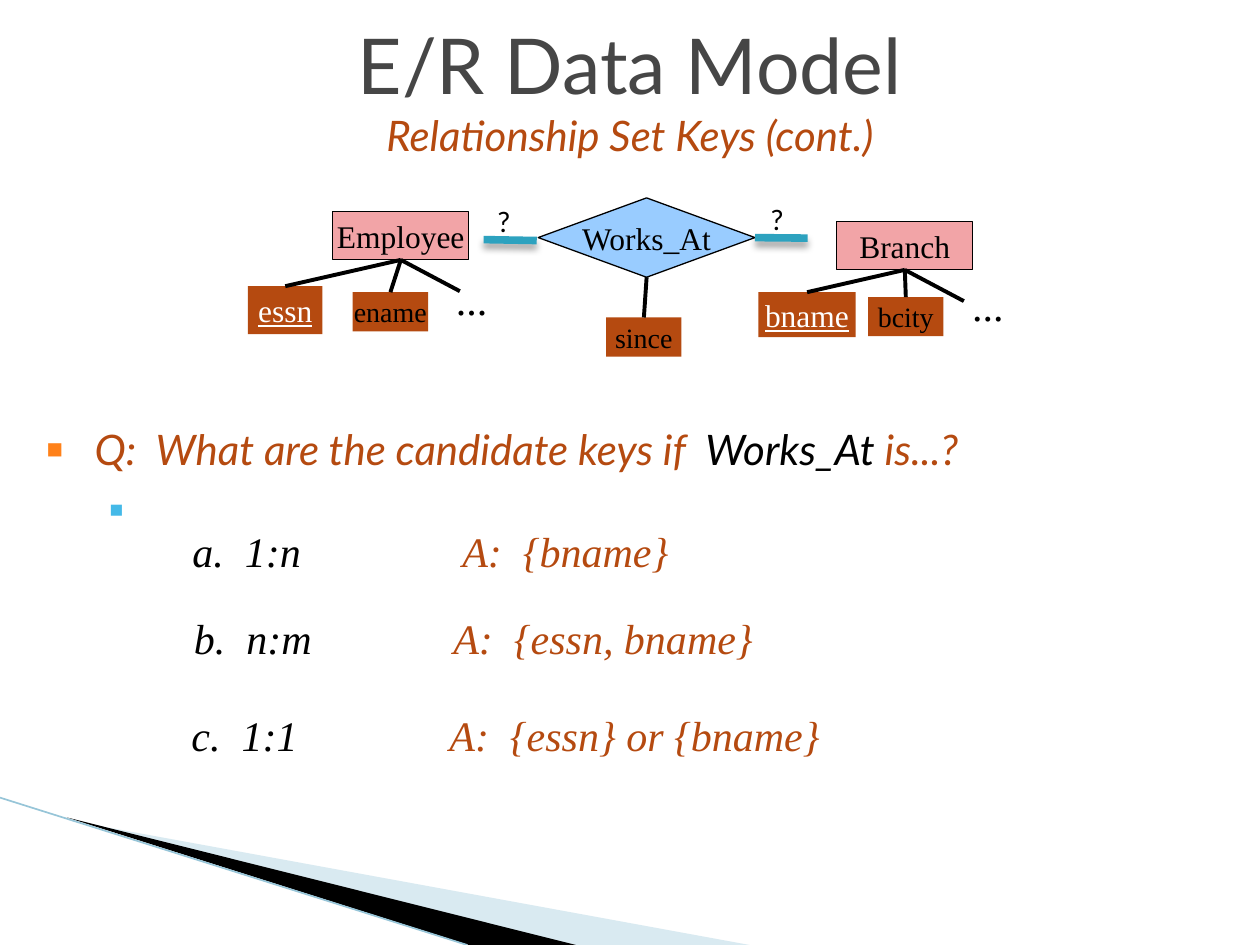
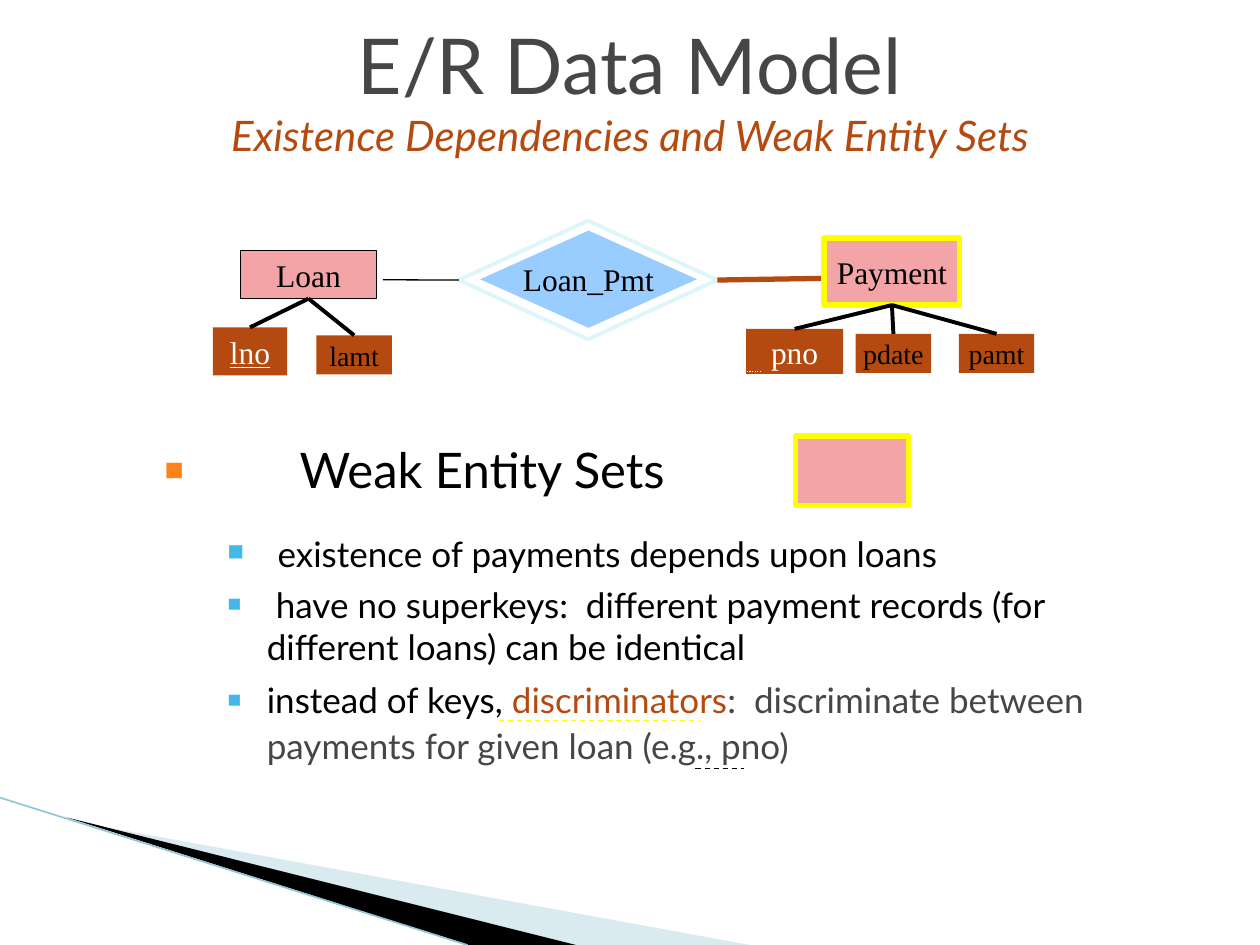
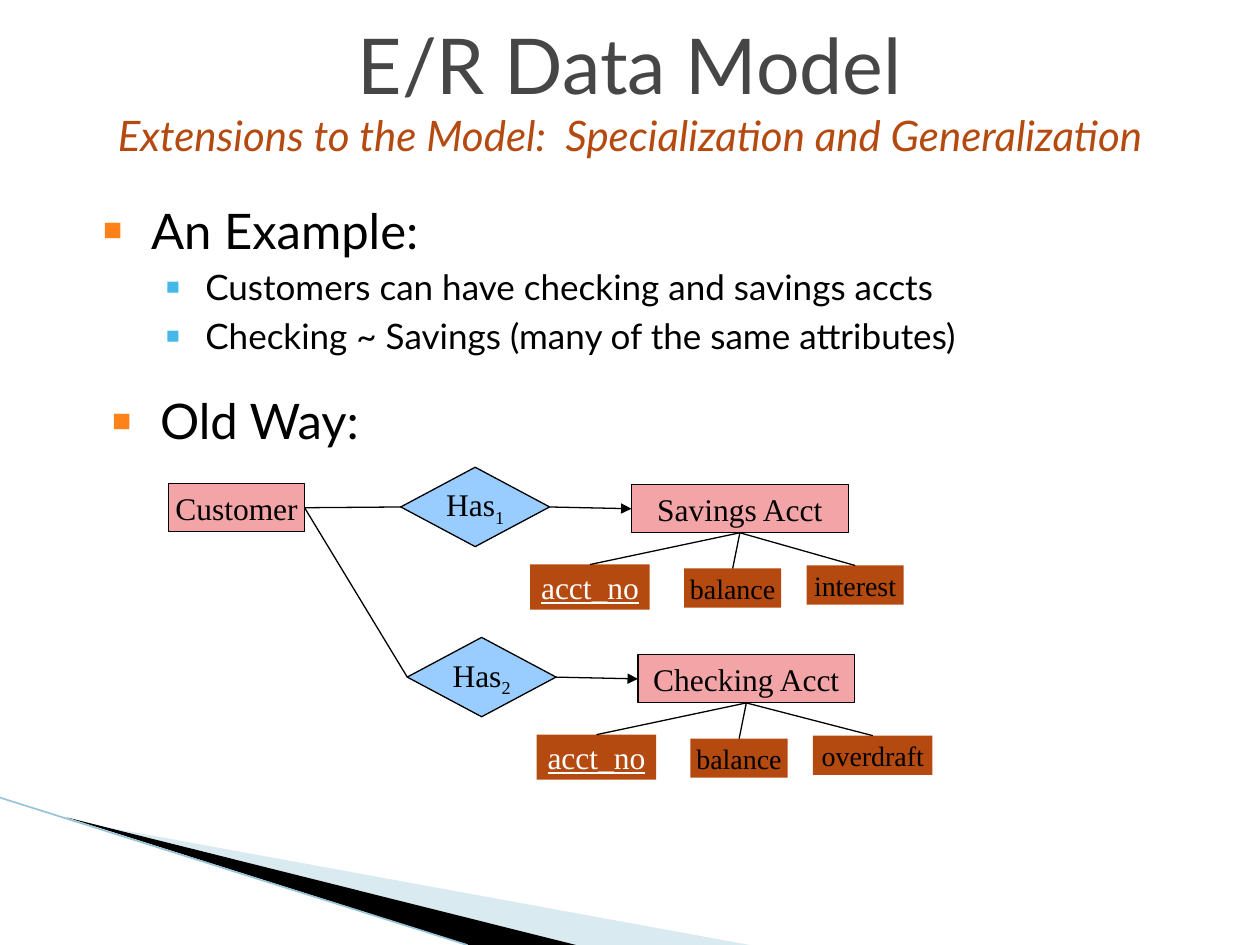
from dataclasses import dataclass
from typing import NamedTuple, Optional

from lxml import etree
from pptx import Presentation
from pptx import util as u
from pptx.dml.color import RGBColor
from pptx.enum import dml, shapes, text
from pptx.oxml import ns

BLACK = RGBColor(0x00, 0x00, 0x00)
WHITE = RGBColor(0xFF, 0xFF, 0xFF)
GREY = RGBColor(0x46, 0x46, 0x46)
RUST = RGBColor(0xB5, 0x4A, 0x10)
PINK = RGBColor(0xF2, 0xA4, 0xA7)
BLUE = RGBColor(0x99, 0xCC, 0xFF)
TEAL = RGBColor(0x2D, 0xA2, 0xBF)
ICE = RGBColor(0xDE, 0xF5, 0xFA)
MIST = RGBColor(0xA0, 0xCB, 0xDC)
EDGE = RGBColor(0x97, 0xC5, 0xD8)
YELLOW = RGBColor(0xFF, 0xFF, 0x00)
ORANGE = RGBColor(0xFF, 0x81, 0x19)
SKY = RGBColor(0x44, 0xB9, 0xE8)

SANS, SERIF = "Lato", "Times New Roman"
RECT = shapes.MSO_SHAPE.RECTANGLE
DIAMOND = shapes.MSO_SHAPE.DIAMOND
TOP, LEFT, BOTTOM, RIGHT = range(4)
DASH = dml.MSO_LINE.DASH
DOT = dml.MSO_LINE.ROUND_DOT
CENTER = text.PP_ALIGN.CENTER


class Run(NamedTuple):
    text: str
    size: float
    color: RGBColor = BLACK
    font: str = SANS
    slant: bool = False
    under: bool = False
    base: int = 0


@dataclass
class Para:
    runs: list[Run]
    level: int = 0
    lines: float = 1.0
    left: float = 0.97    # cm, where the text starts
    hang: float = 0.97    # cm, from bullet to text
    before: float = 0


@dataclass
class Box:
    x: float
    y: float
    w: float
    h: float
    runs: list[Run]
    fill: RGBColor
    edge: Optional[RGBColor] = None
    width: float = 0.75
    form: shapes.MSO_SHAPE = RECT


class Spot(NamedTuple):
    x: float
    y: float


class Joint(NamedTuple):
    shape: object
    side: int


# Text

def add_run(para, run: Run) -> None:
    r = para.add_run()
    r.text = run.text
    font = r.font
    font.name, font.size = run.font, u.Pt(run.size)
    font.color.rgb = run.color
    font.italic, font.underline = run.slant, run.under
    if run.base:
        r._r.get_or_add_rPr().set("baseline", str(run.base * 1000))


def add_text(slide, x: float, y: float, w: float, h: float, wrap: bool = True):
    box = slide.shapes.add_textbox(u.Cm(x), u.Cm(y), u.Cm(w), u.Cm(h))
    box.text_frame.word_wrap = wrap
    return box.text_frame


def add_label(slide, x: float, y: float, w: float, h: float, run: Run) -> None:
    frame = add_text(slide, x, y, w, h, wrap=False)
    frame.auto_size = text.MSO_AUTO_SIZE.SHAPE_TO_FIT_TEXT
    add_run(frame.paragraphs[0], run)


def add_bullet(para, item: Para) -> None:
    props = para._p.get_or_add_pPr()
    props.set("marL", str(u.Cm(item.left)))
    props.set("indent", str(-u.Cm(item.hang)))
    tint = etree.SubElement(props, ns.qn("a:buClr"))
    etree.SubElement(tint, ns.qn("a:srgbClr"), val=str(SKY if item.level else ORANGE))
    etree.SubElement(props, ns.qn("a:buSzPct"), val="65000")
    etree.SubElement(props, ns.qn("a:buFont"), typeface="Arial")
    etree.SubElement(props, ns.qn("a:buChar"), char="■")


def add_list(slide, x: float, y: float, w: float, h: float, items: list[Para]) -> None:
    frame = add_text(slide, x, y, w, h)
    for n, item in enumerate(items):
        para = frame.add_paragraph() if n else frame.paragraphs[0]
        add_bullet(para, item)
        para.level = item.level
        para.line_spacing = item.lines
        para.space_before = u.Pt(item.before)
        for run in item.runs:
            add_run(para, run)


def sub(runs: list[Run], lines: float = 1.0) -> Para:
    return Para(runs, 1, lines, left=2.06, hang=0.79, before=4)


# Shapes and lines

def add_box(slide, box: Box):
    shape = slide.shapes.add_shape(box.form, u.Cm(box.x), u.Cm(box.y),
                                   u.Cm(box.w), u.Cm(box.h))
    shape.shadow.inherit = False
    shape.fill.solid()
    shape.fill.fore_color.rgb = box.fill
    if box.edge is None:
        shape.line.fill.background()
    else:
        shape.line.color.rgb = box.edge
        shape.line.width = u.Pt(box.width)
    frame = shape.text_frame
    frame.word_wrap = False
    frame.vertical_anchor = text.MSO_ANCHOR.MIDDLE
    frame.paragraphs[0].alignment = CENTER
    for run in box.runs:
        add_run(frame.paragraphs[0], run)
    return shape


def add_line(slide, start, end, color: RGBColor = BLACK, width: float = 0.75,
             dash=None, arrow: bool = False, shade: bool = False) -> None:
    line = slide.shapes.add_connector(shapes.MSO_CONNECTOR.STRAIGHT, 0, 0, 0, 0)
    if isinstance(start, Spot):
        line.begin_x, line.begin_y = u.Cm(start.x), u.Cm(start.y)
    else:
        line.begin_connect(*start)
    if isinstance(end, Spot):
        line.end_x, line.end_y = u.Cm(end.x), u.Cm(end.y)
    else:
        line.end_connect(*end)
    line.line.color.rgb = color
    line.line.width = u.Pt(width)
    if dash is not None:
        line.line.dash_style = dash
    if arrow:
        etree.SubElement(line.line._get_or_add_ln(), ns.qn("a:tailEnd"), type="triangle")
    effect = etree.SubElement(line._element.spPr, ns.qn("a:effectLst"))
    if shade:
        cast = etree.SubElement(effect, ns.qn("a:outerShdw"), blurRad=str(u.Pt(4)),
                                dist=str(u.Pt(3)), dir="5400000", rotWithShape="0")
        tint = etree.SubElement(cast, ns.qn("a:srgbClr"), val=str(BLACK))
        etree.SubElement(tint, ns.qn("a:alpha"), val="35000")


def add_wedge(slide, points: list[Spot], color: RGBColor, alpha: int = 100) -> None:
    ends = [(u.Cm(p.x), u.Cm(p.y)) for p in points]
    path = slide.shapes.build_freeform(*ends[0])
    path.add_line_segments(ends[1:], close=True)
    wedge = path.convert_to_shape()
    wedge.shadow.inherit = False
    wedge.fill.solid()
    wedge.fill.fore_color.rgb = color
    wedge.line.fill.background()
    if alpha < 100:
        tint = wedge._element.spPr.find(".//" + ns.qn("a:srgbClr"))
        etree.SubElement(tint, ns.qn("a:alpha"), val=str(alpha * 1000))


# Parts of an E/R chart

def serif(word: str, size: float = 18, color: RGBColor = BLACK, **more) -> Run:
    return Run(word, size, color, SERIF, **more)


def entity(x: float, y: float, word: str, w: float = 2.74) -> Box:
    return Box(x, y, w, 0.97, [serif(word)], PINK, BLACK)


def weak(x: float, y: float, w: float, h: float, runs: list[Run]) -> Box:
    return Box(x, y, w, h, runs, PINK, YELLOW, 3)


def link(x: float, y: float, w: float, runs: list[Run]) -> Box:
    return Box(x, y, w, 1.6, runs, BLUE, BLACK, form=DIAMOND)


def key(x: float, y: float, w: float, word: str, h: float = 0.91,
        under: bool = True) -> Box:
    return Box(x, y, w, h, [serif(word, color=WHITE, under=under)], RUST)


def field(x: float, y: float, word: str, w: float = 1.52) -> Box:
    return Box(x, y, w, 0.79, [serif(word, 16)], RUST)


def add_tree(slide, root: Box, leaves: list[Box], width: float = 2.25):
    """Draw a box and its attributes, joined from its lower side."""
    owner = add_box(slide, root)
    for leaf in leaves:
        shape = add_box(slide, leaf)
        add_line(slide, Joint(owner, BOTTOM), Joint(shape, TOP), width=width)
    return owner


def add_more(slide, owner, end: Spot, x: float, y: float) -> None:
    add_line(slide, Joint(owner, BOTTOM), end, width=2.25)
    add_label(slide, x, y, 1.14, 1.27, serif("...", 24))


def new_slide(deck, topic: str):
    slide = deck.slides.add_slide(deck.slide_layouts[6])
    # Corner wedges
    add_wedge(slide, [Spot(1.4, 16.54), Spot(15.11, 19.05), Spot(11.58, 19.05)], MIST, 40)
    add_wedge(slide, [Spot(1.35, 16.48), Spot(11.61, 19.05), Spot(9.45, 19.05)], BLACK)
    add_line(slide, Spot(0, 16.08), Spot(9.42, 19.05), EDGE, 0.95)
    # Title
    frame = add_text(slide, 0, 0.2, 25.4, 3.18)
    frame.vertical_anchor = text.MSO_ANCHOR.MIDDLE
    para = frame.paragraphs[0]
    para.alignment = CENTER
    add_run(para, Run("E/R Data Model", 44, GREY))
    para.add_line_break()
    add_run(para, Run(topic, 24, RUST, slant=True))
    return slide


def draw_keys(deck) -> None:
    slide = new_slide(deck, "Relationship Set Keys (cont.)")
    add_list(slide, 0.69, 8.41, 24.71, 1.4, [
        Para([Run("Q:  What are the candidate keys if  ", 24, RUST, slant=True),
              Run("Works_At ", 24, slant=True),
              Run("is...?", 24, RUST, slant=True)]),
        sub([Run(" ", 20)], 1.2)])

    # Cases and answers: y, then x, width and words of each
    cases = [(10.46, 3.63, 2.69, "a.  1:n", 9.07, 4.88, "A:  {bname}"),
             (12.22, 3.66, 2.9, "b.  n:m", 8.89, 6.76, "A:  {essn, bname}"),
             (14.17, 3.61, 2.64, "c.  1:1", 8.81, 7.98, "A:  {essn} or {bname}")]
    for y, x, w, case, ax, aw, answer in cases:
        add_label(slide, x, y, w, 1.27, serif(case, 24, slant=True))
        add_label(slide, ax, y, aw, 1.27, serif(answer, 24, RUST, slant=True))

    # Chart
    staff = add_tree(slide, entity(6.71, 4.27, "Employee"), [
        key(5, 5.77, 1.5, "essn", h=0.97), field(7.11, 5.89, "ename")])
    add_more(slide, staff, Spot(9.27, 5.87), 8.94, 5.38)
    works = add_tree(slide, link(10.85, 3.99, 4.37, [serif("Works_At")]),
                     [field(12.22, 6.4, "since")])
    branch = add_tree(slide, entity(16.87, 4.47, "Branch"), [
        key(15.29, 5.89, 1.96, "bname"), field(17.5, 5.99, "bcity")])
    add_more(slide, branch, Spot(19.43, 6.07), 19.35, 5.51)
    add_line(slide, Joint(works, RIGHT), Spot(16.28, 4.8), TEAL, 4.33, shade=True)
    add_line(slide, Spot(9.75, 4.83), Spot(10.82, 4.85), TEAL, 4.33, shade=True)
    for x, y in [(9.78, 3.99), (15.29, 3.96)]:
        add_label(slide, x, y, 0.79, 0.94, Run("?", 16))


def draw_weak(deck) -> None:
    slide = new_slide(deck, "Existence Dependencies and Weak Entity Sets")
    add_box(slide, weak(16.03, 8.79, 2.29, 1.4, []))
    add_list(slide, 3.07, 8.74, 19.13, 4.52, [
        Para([Run("Weak Entity Sets", 28)], left=2.72, hang=2.72),
        sub([Run(" ", 24), Run("existence of payments depends upon loans", 20)], 1.4),
        sub([Run(" have no superkeys:  different payment records "
                 "(for different loans) can be identical", 20)]),
        sub([Run("instead of keys, ", 20), Run("discriminators", 20, RUST),
             Run(":  discriminate between payments for given loan (e.g., pno)",
                 20, GREY)], 1.1)])
    add_line(slide, Spot(10.06, 14.53), Spot(14.1, 14.53), YELLOW, dash=DASH)
    add_line(slide, Spot(14.02, 15.49), Spot(14.99, 15.49), dash=DASH)

    # Chart
    add_tree(slide, entity(4.85, 5.05, "Loan"), [
        key(4.29, 6.6, 1.5, "lno", h=0.97), field(6.38, 6.76, "lamt")])
    frame = add_box(slide, Box(9.25, 4.45, 5.21, 2.39, [], WHITE, ICE, 2.25, DIAMOND))
    add_box(slide, Box(9.68, 4.65, 4.37, 1.96, [serif("Loan_Pmt")], BLUE, form=DIAMOND))
    add_line(slide, Joint(frame, LEFT), Spot(7.72, 5.64))
    add_line(slide, Spot(16.66, 5.61), Joint(frame, RIGHT), RUST, 3)
    add_tree(slide, weak(16.61, 4.8, 2.74, 1.35, [serif("Payment")]), [
        key(15.04, 6.63, 1.96, "pno", under=False),
        field(17.25, 6.73, "pdate"), field(19.33, 6.73, "pamt")])
    add_line(slide, Spot(14.12, 7.49), Spot(15.32, 7.49), WHITE, dash=DOT)


def draw_types(deck) -> None:
    slide = new_slide(deck, "Extensions to the Model:  Specialization and Generalization")
    add_list(slide, 1.83, 3.91, 19.13, 4.52, [
        Para([Run("An Example:", 28)]),
        sub([Run("Customers can have checking and savings accts", 20)]),
        sub([Run("Checking ~ Savings (many of the same attributes)", 20)])])
    add_list(slide, 2.01, 7.75, 6.38, 1.45, [Para([Run("Old Way:", 28)])])

    # Chart: one row for each kind of account
    client = add_box(slide, entity(3.4, 9.75, "Customer"))
    rows = [("Savings Acct", "interest", 1.96), ("Checking Acct", "overdraft", 2.41)]
    for n, (name, extra, wide) in enumerate(rows):
        dx, dy = 0.13 * n, 3.43 * n
        has = add_box(slide, link(8.08 + dx, 9.42 + dy, 3,
                                  [serif("Has"), serif(str(n + 1), base=-25)]))
        acct = add_tree(slide, entity(12.73 + dx, 9.77 + dy, name, 4.37), [
            key(10.69 + dx, 11.38 + dy, 2.41, "acct_no"),
            field(13.79 + dx, 11.46 + dy, "balance", 1.96),
            field(16.26 + dx, 11.4 + dy, extra, wide)], 0.75)
        add_line(slide, Joint(client, RIGHT), Joint(has, LEFT))
        add_line(slide, Joint(has, RIGHT), Joint(acct, LEFT), arrow=True)


def main() -> None:
    deck = Presentation()
    deck.slide_width, deck.slide_height = u.Cm(25.4), u.Cm(19.05)
    draw_keys(deck)
    draw_weak(deck)
    draw_types(deck)
    deck.save("out.pptx")


if __name__ == "__main__":
    main()
